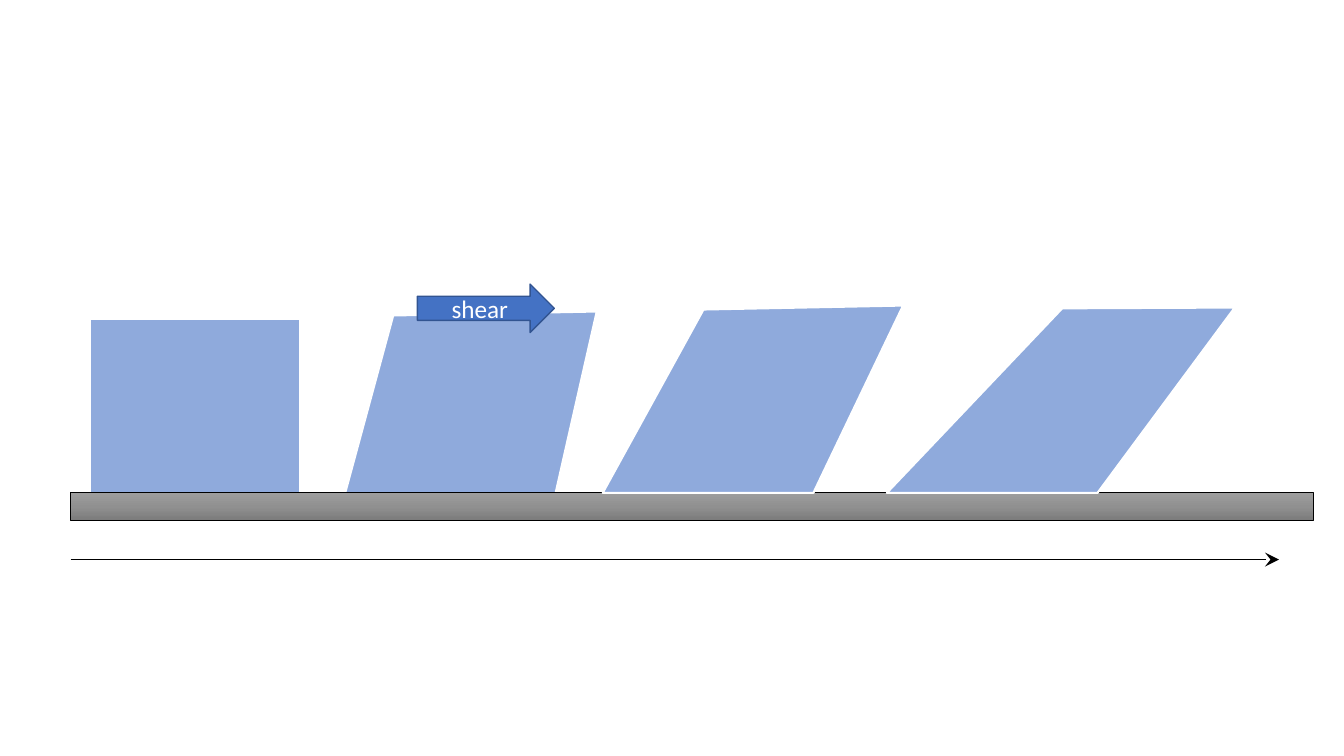
from copy import deepcopy
from dataclasses import dataclass

from lxml import etree
from pptx import Presentation
from pptx import util as u
from pptx.dml.color import RGBColor
from pptx.enum import shapes, text
from pptx.oxml import ns
from pptx.shapes.autoshape import Shape
from pptx.shapes.shapetree import SlideShapes


@dataclass(frozen=True)
class Theme:
    block: str = "8FAADC"
    block_edge: str = "FFFFFF"
    arrow: str = "4472C4"
    arrow_edge: str = "325491"
    ink: str = "000000"
    label: str = "FFFFFF"
    ground: tuple[str, ...] = ("9D9D9D", "909090", "7C7C7C")
    font: str = "Calibri"
    label_size: float = 18
    block_line: float = 1.5
    arrow_line: float = 1
    thin_line: float = 0.5


@dataclass(frozen=True)
class Box:
    left: float
    top: float
    width: float
    height: float


@dataclass(frozen=True)
class ShearedBlock:
    """Corners in cm; every block stands on a base of the same width."""
    base_left: float
    base_y: float
    top_left: tuple[float, float]
    top_right: tuple[float, float]


THEME = Theme()
BASE_WIDTH = 5.31
GROUND_LEFT, GROUND_TOP = 1.78, 12.42

SQUARE = Box(2.26, 8.05, BASE_WIDTH, 4.65)
GROUND = Box(GROUND_LEFT, GROUND_TOP, 31.32, 0.69)
SHEAR_ARROW = Box(10.52, 7.16, 3.45, 1.22)
SLIGHT = ShearedBlock(8.66, 12.57, (9.91, 7.95), (15.04, 7.85))
MEDIUM = ShearedBlock(15.19, GROUND_TOP, (17.73, 7.8), (22.76, 7.7))
STRONG = ShearedBlock(22.35, GROUND_TOP, (26.77, 7.77), (31.12, 7.75))


def rgb(colour: str) -> RGBColor:
    return RGBColor.from_string(colour)


def style(shape: Shape, fill: str, edge: str, width: float) -> None:
    shape.shadow.inherit = False
    shape.fill.solid()
    shape.fill.fore_color.rgb = rgb(fill)
    shape.line.color.rgb = rgb(edge)
    shape.line.width = u.Pt(width)


def draw_box(canvas: SlideShapes, kind: shapes.MSO_SHAPE, box: Box,
             fill: str, edge: str, width: float) -> Shape:
    shape = canvas.add_shape(kind, u.Cm(box.left), u.Cm(box.top),
                             u.Cm(box.width), u.Cm(box.height))
    style(shape, fill, edge, width)
    return shape


def draw_sheared_block(canvas: SlideShapes, block: ShearedBlock) -> None:
    corners = [block.top_left, block.top_right,
               (block.base_left + BASE_WIDTH, block.base_y),
               (block.base_left, block.base_y)]
    start, *others = [(u.Cm(x), u.Cm(y)) for x, y in corners]
    builder = canvas.build_freeform(*start)
    builder.add_line_segments(others, close=True)
    style(builder.convert_to_shape(), THEME.block, THEME.block_edge, THEME.block_line)


def shade_ground(shape: Shape, colours: tuple[str, ...]) -> None:
    """Fill downwards with evenly spaced gradient stops."""
    shape.fill.gradient()
    shape.fill.gradient_angle = 270
    stop_list = shape.element.find(".//" + ns.qn("a:gsLst"))
    stop_list.insert(1, deepcopy(stop_list[0]))
    for index, (stop, colour) in enumerate(zip(shape.fill.gradient_stops, colours)):
        stop.position = index / (len(colours) - 1)
        stop.color.rgb = rgb(colour)


def write_label(shape: Shape, words: str) -> None:
    frame = shape.text_frame
    frame.word_wrap = True
    frame.vertical_anchor = text.MSO_ANCHOR.MIDDLE
    paragraph = frame.paragraphs[0]
    paragraph.alignment = text.PP_ALIGN.CENTER
    run = paragraph.add_run()
    run.text = words
    run.font.name = THEME.font
    run.font.size = u.Pt(THEME.label_size)
    run.font.color.rgb = rgb(THEME.label)


def draw_axis(canvas: SlideShapes, left: float, right: float, y: float) -> None:
    axis = canvas.add_connector(shapes.MSO_CONNECTOR.STRAIGHT,
                                u.Cm(left), u.Cm(y), u.Cm(right), u.Cm(y))
    axis.line.color.rgb = rgb(THEME.ink)
    axis.line.width = u.Pt(THEME.thin_line)
    properties = axis.element.spPr
    line = properties.find(ns.qn("a:ln"))
    etree.SubElement(line, ns.qn("a:tailEnd"), type="stealth", w="lg", len="lg")
    etree.SubElement(properties, ns.qn("a:effectLst"))


def main() -> None:
    presentation = Presentation()
    presentation.slide_width, presentation.slide_height = u.Cm(33.87), u.Cm(19.05)
    slide = presentation.slides.add_slide(presentation.slide_layouts[6])
    canvas = slide.shapes
    kinds = shapes.MSO_SHAPE

    # Blocks that reach behind the ground
    draw_sheared_block(canvas, SLIGHT)
    draw_box(canvas, kinds.RECTANGLE, SQUARE,
             THEME.block, THEME.block_edge, THEME.block_line)

    # Ground
    ground = draw_box(canvas, kinds.RECTANGLE, GROUND,
                      THEME.ground[0], THEME.ink, THEME.thin_line)
    shade_ground(ground, THEME.ground)

    # Shear direction
    arrow = draw_box(canvas, kinds.RIGHT_ARROW, SHEAR_ARROW,
                     THEME.arrow, THEME.arrow_edge, THEME.arrow_line)
    write_label(arrow, "shear")

    # Blocks that stand on the ground
    for block in (MEDIUM, STRONG):
        draw_sheared_block(canvas, block)

    # Progress axis
    draw_axis(canvas, GROUND_LEFT, 32.23, 14.1)

    presentation.save("out.pptx")


if __name__ == "__main__":
    main()
